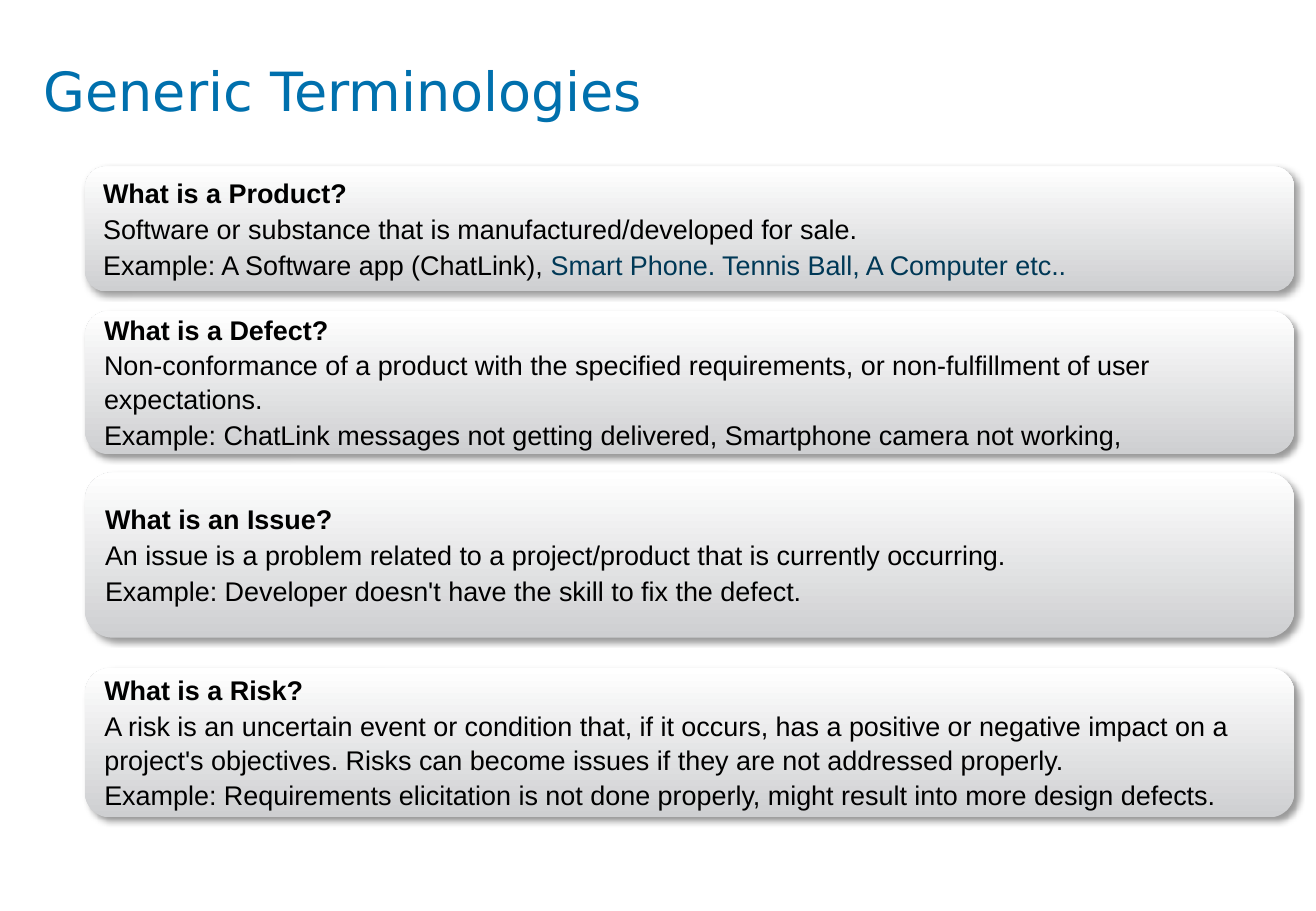
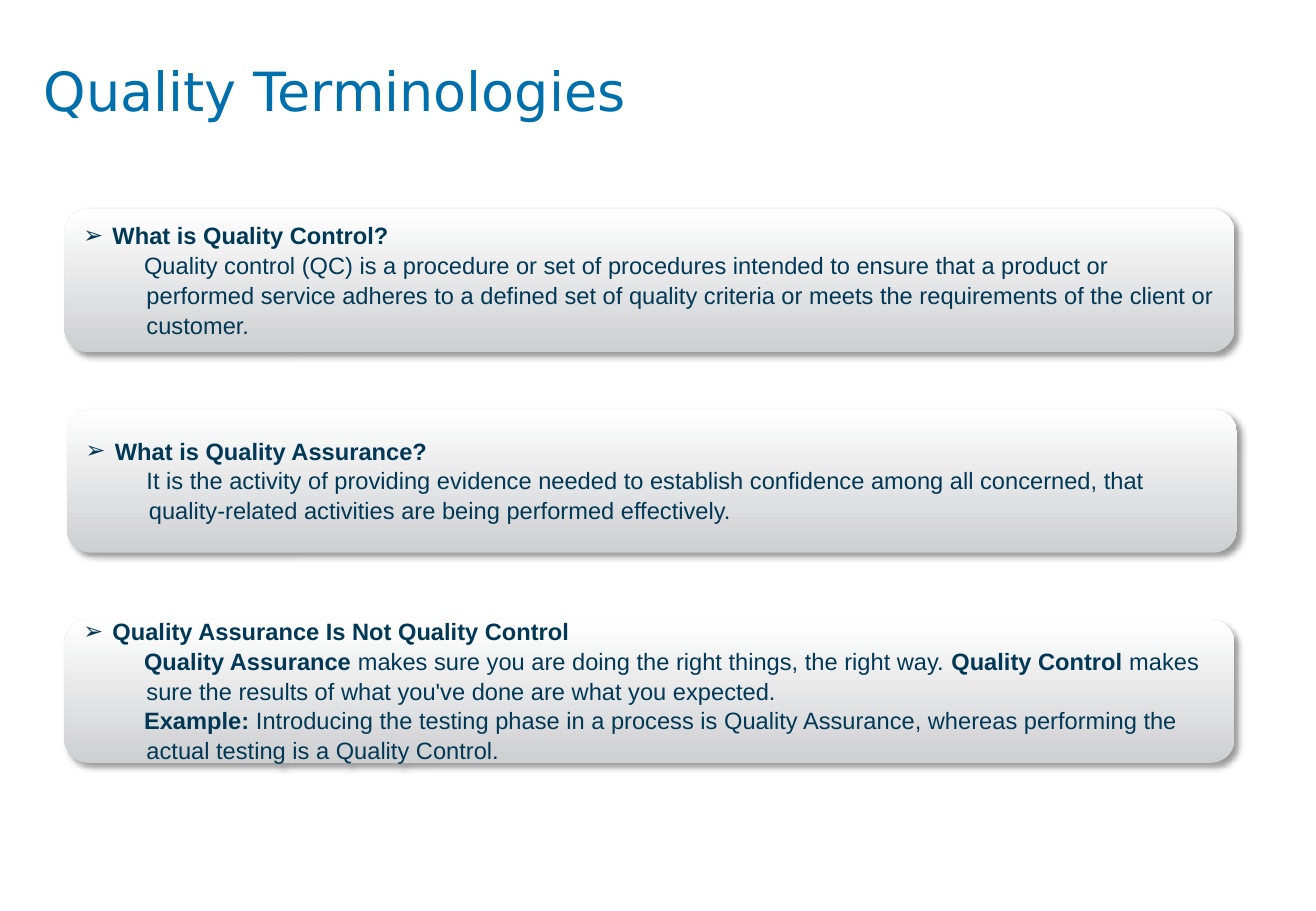
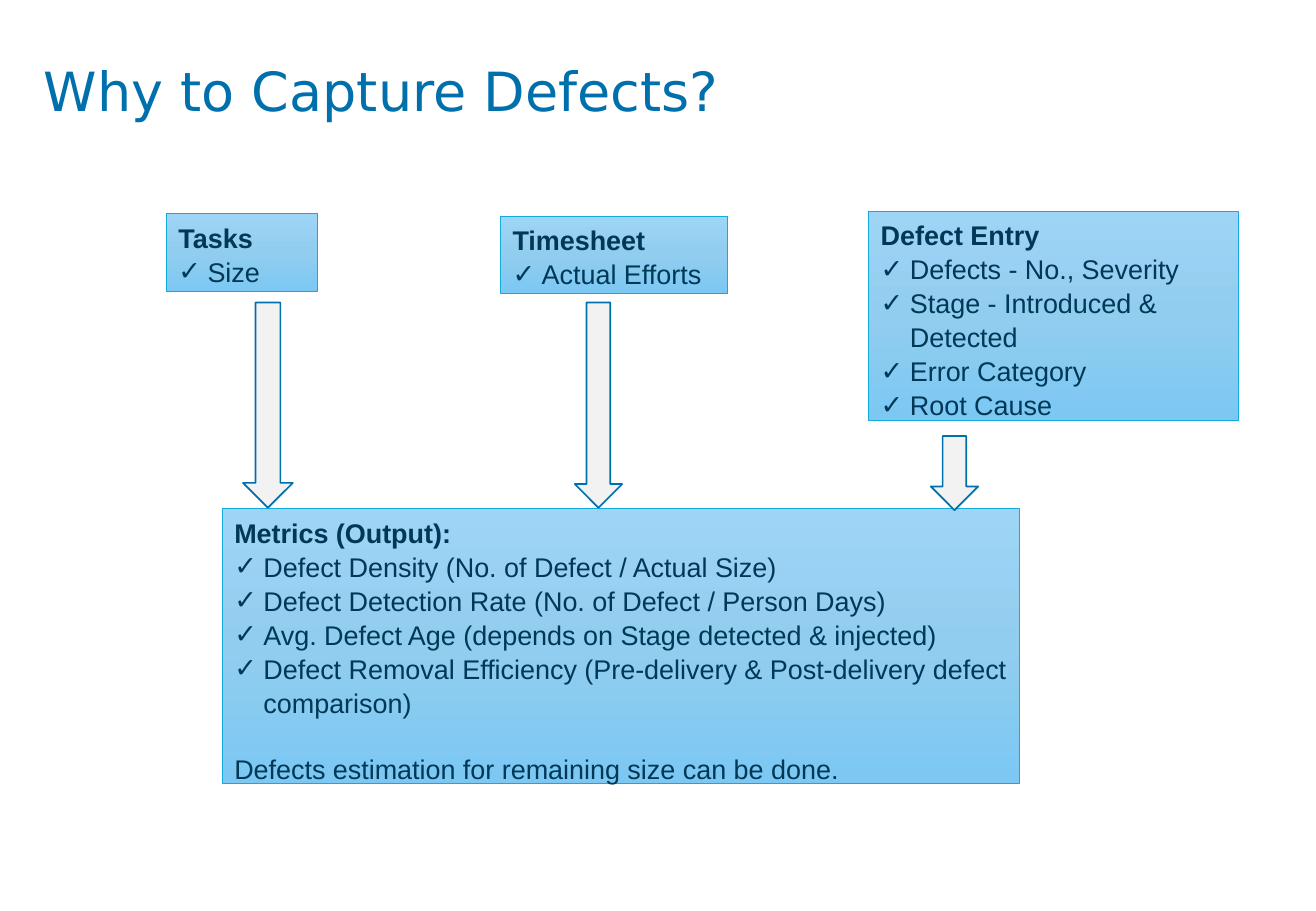
from lxml.etree import SubElement
from pptx import Presentation
from pptx.dml.color import RGBColor
from pptx.enum.shapes import MSO_SHAPE
from pptx.enum.text import MSO_ANCHOR, MSO_AUTO_SIZE, PP_ALIGN
from pptx.oxml.ns import qn
from pptx.util import Inches, Pt

BLUE = RGBColor(0x00, 0x70, 0xAD)
NAVY = RGBColor(0x00, 0x38, 0x56)
BLACK = RGBColor(0x00, 0x00, 0x00)
CYAN = RGBColor(0x12, 0xAB, 0xDB)
PALE = RGBColor(0xF2, 0xF2, 0xF2)
WHITE = RGBColor(0xFF, 0xFF, 0xFF)
SILVER = RGBColor(0xCE, 0xCF, 0xD1)
SKY = [
    (0, RGBColor(0x9E, 0xD5, 0xF6)),
    (50, RGBColor(0x91, 0xCD, 0xEF)),
    (100, RGBColor(0x7C, 0xC8, 0xF3)),
]
METAL = [(0, SILVER), (100, WHITE)]

FONT = "Arial"
TITLE_FONT = "DejaVu Sans"
LINE_SPACING = 1.05
BULLET_INDENT = 0.24
CARD_INSETS = (0.1, 0.08, 0.05, 0.1)
BOX_INSETS = (0.1, 0.05, 0.1, 0.05)


def set_attrs(target, **values):
    for name, value in values.items():
        setattr(target, name, value)


def set_frame(tf, insets, **values):
    left, top, right, bottom = map(Inches, insets)
    set_attrs(tf, word_wrap=True, margin_left=left, margin_top=top,
              margin_right=right, margin_bottom=bottom, **values)


def set_indent(p, left, first, bullet=None):
    pPr = p._p.get_or_add_pPr()
    pPr.set("marL", str(Inches(left)))
    pPr.set("indent", str(Inches(first)))
    if bullet:
        SubElement(pPr, qn("a:buFont"), typeface=FONT)
        SubElement(pPr, qn("a:buChar"), char=bullet)


def add_paragraph(tf, runs, size, color, font=FONT, bold=False,
                  bullet=None, left=0, first=0, before=0):
    is_first = not tf.paragraphs[0].runs
    p = tf.paragraphs[0] if is_first else tf.add_paragraph()
    if bullet:
        left, first = BULLET_INDENT, -BULLET_INDENT
    set_indent(p, left, first, bullet)
    set_attrs(p, alignment=PP_ALIGN.LEFT, line_spacing=LINE_SPACING,
              space_before=Pt(0 if is_first else before))
    if isinstance(runs, str):
        runs = [(runs, {})]
    for text, style in runs:
        r = p.add_run()
        r.text = text
        values = {"name": font, "size": Pt(size), "bold": bold}
        set_attrs(r.font, **{**values, "bold": style.get("bold", bold)})
        r.font.color.rgb = style.get("color", color)


def add_title(s, text):
    sp = s.shapes.add_textbox(*map(Inches, (0.36, 0.45, 10.11, 0.94)))
    set_frame(sp.text_frame, (0, 0, 0, 0), vertical_anchor=MSO_ANCHOR.TOP)
    add_paragraph(sp.text_frame, text, 32, BLUE, TITLE_FONT)


def add_plain_shape(s, kind, box):
    sp = s.shapes.add_shape(kind, *map(Inches, box))
    sp.shadow.inherit = False
    return sp


def set_gradient(sp, stops, angle):
    sp.fill.gradient()
    sp.fill.gradient_angle = angle
    gs_list = sp._element.spPr.find(qn("a:gradFill")).find(qn("a:gsLst"))
    for gs in list(gs_list):
        gs_list.remove(gs)
    for pos, color in stops:
        gs = SubElement(gs_list, qn("a:gs"), pos=str(pos * 1000))
        SubElement(gs, qn("a:srgbClr"), val=str(color))


def add_soft_shadow(sp):
    effects = sp._element.spPr.find(qn("a:effectLst"))
    shadow = SubElement(effects, qn("a:outerShdw"), blurRad=str(Pt(4)),
                        dist=str(Pt(3)), dir=str(45 * 60000), algn="tl",
                        rotWithShape="0")
    color = SubElement(shadow, qn("a:srgbClr"), val=str(BLACK))
    SubElement(color, qn("a:alpha"), val="40000")


def add_card(s, box):
    sp = add_plain_shape(s, MSO_SHAPE.ROUNDED_RECTANGLE, box)
    set_gradient(sp, METAL, 90)
    sp.line.fill.background()
    add_soft_shadow(sp)
    set_frame(sp.text_frame, CARD_INSETS, vertical_anchor=MSO_ANCHOR.MIDDLE)
    return sp.text_frame


def add_generic_card(s, box, heading, lines):
    tf = add_card(s, box)
    add_paragraph(tf, heading, 16, BLACK, bold=True)
    for line in lines:
        add_paragraph(tf, line, 16, BLACK, before=1.2)


def add_quality_card(s, box, heading, lines):
    tf = add_card(s, box)
    add_paragraph(tf, heading, 14, NAVY, bold=True, bullet="➢")
    for line in lines:
        add_paragraph(tf, line, 14, NAVY, left=0.52, first=-0.02)


def add_check_box(s, box, heading, items, closing=None):
    sp = add_plain_shape(s, MSO_SHAPE.RECTANGLE, box)
    set_gradient(sp, SKY, 270)
    sp.line.color.rgb = CYAN
    sp.line.width = Pt(0.5)
    tf = sp.text_frame
    set_frame(tf, BOX_INSETS, vertical_anchor=MSO_ANCHOR.TOP,
              auto_size=MSO_AUTO_SIZE.SHAPE_TO_FIT_TEXT)
    add_paragraph(tf, heading, 16, NAVY, bold=True)
    for item in items:
        add_paragraph(tf, item, 16, NAVY, bullet="✓")
    if closing:
        add_paragraph(tf, closing, 16, NAVY, before=19.2)


def add_down_arrow(s, box):
    sp = add_plain_shape(s, MSO_SHAPE.DOWN_ARROW, box)
    sp.fill.solid()
    sp.fill.fore_color.rgb = PALE
    sp.line.color.rgb = BLUE
    sp.line.width = Pt(1)


def build_generic_terms(s):
    add_title(s, "Generic Terminologies")
    cards = [
        (1.37, 1.03, "What is a Product?", [
            "Software or substance that is manufactured/developed for sale.",
            [("Example: A Software app (ChatLink), ", {}),
             ("Smart Phone. Tennis Ball, A Computer etc..",
              {"color": NAVY})]]),
        (2.56, 1.18, "What is a Defect?", [
            "Non-conformance of a product with the specified requirements, "
            "or non-fulfillment of user expectations.",
            "Example: ChatLink messages not getting delivered, "
            "Smartphone camera not working,"]),
        (3.89, 1.36, "What is an Issue?", [
            "An issue is a problem related to a project/product that is "
            "currently occurring.",
            "Example: Developer doesn't have the skill to fix the defect."]),
        (5.5, 1.23, "What is a Risk?", [
            "A risk is an uncertain event or condition that, if it occurs, "
            "has a positive or negative impact on a project's objectives. "
            "Risks can become issues if they are not addressed properly.",
            "Example: Requirements elicitation is not done properly, "
            "might result into more design defects."]),
    ]
    for top, height, heading, lines in cards:
        add_generic_card(s, (0.7, top, 9.95, height), heading, lines)


def build_quality_terms(s):
    add_title(s, "Quality Terminologies")
    strong = {"bold": True}
    cards = [
        (0.53, 1.72, "What is Quality Control?", [
            "Quality control (QC) is a procedure or set of procedures "
            "intended to ensure that a product or performed service adheres "
            "to a defined set of quality criteria or meets the requirements "
            "of the client or customer."]),
        (0.55, 3.37, "What is Quality Assurance?", [
            "It is the activity of providing evidence needed to establish "
            "confidence among all concerned, that quality-related activities "
            "are being performed effectively."]),
        (0.53, 5.1, "Quality Assurance Is Not Quality Control", [
            [("Quality Assurance ", strong),
             ("makes sure you are doing the right things, the right way. ",
              {}),
             ("Quality Control ", strong),
             ("makes sure the results of what you've done are what you "
              "expected.", {})],
            [("Example: ", strong),
             ("Introducing the testing phase in a process is Quality "
              "Assurance, whereas performing the actual testing is a "
              "Quality Control.", {})]]),
    ]
    for left, top, heading, lines in cards:
        add_quality_card(s, (left, top, 9.63, 1.18), heading, lines)


def build_capture_defects(s):
    add_title(s, "Why to Capture Defects?")
    add_check_box(s, (1.37, 1.76, 1.24, 0.64), "Tasks", ["Size"])
    add_check_box(s, (4.12, 1.78, 1.87, 0.64), "Timesheet",
                  ["Actual Efforts"])
    add_check_box(s, (7.15, 1.74, 3.04, 1.72), "Defect Entry", [
        "Defects - No., Severity",
        "Stage - Introduced & Detected",
        "Error Category",
        "Root Cause"])
    add_check_box(s, (1.83, 4.19, 6.56, 2.26), "Metrics (Output):", [
        "Defect Density (No. of Defect / Actual Size)",
        "Defect Detection Rate (No. of Defect / Person Days)",
        "Avg. Defect Age (depends on Stage detected & injected)",
        "Defect Removal Efficiency (Pre-delivery & Post-delivery defect "
        "comparison)"],
        "Defects estimation for remaining size can be done.")
    for box in [(2, 2.49, 0.41, 1.69), (4.73, 2.49, 0.39, 1.69),
                (7.66, 3.59, 0.39, 0.61)]:
        add_down_arrow(s, box)


def main():
    prs = Presentation()
    set_attrs(prs, slide_width=Inches(10.83), slide_height=Inches(7.5))
    for build in (build_generic_terms, build_quality_terms,
                  build_capture_defects):
        build(prs.slides.add_slide(prs.slide_layouts[6]))
    prs.save("out.pptx")


if __name__ == "__main__":
    main()
